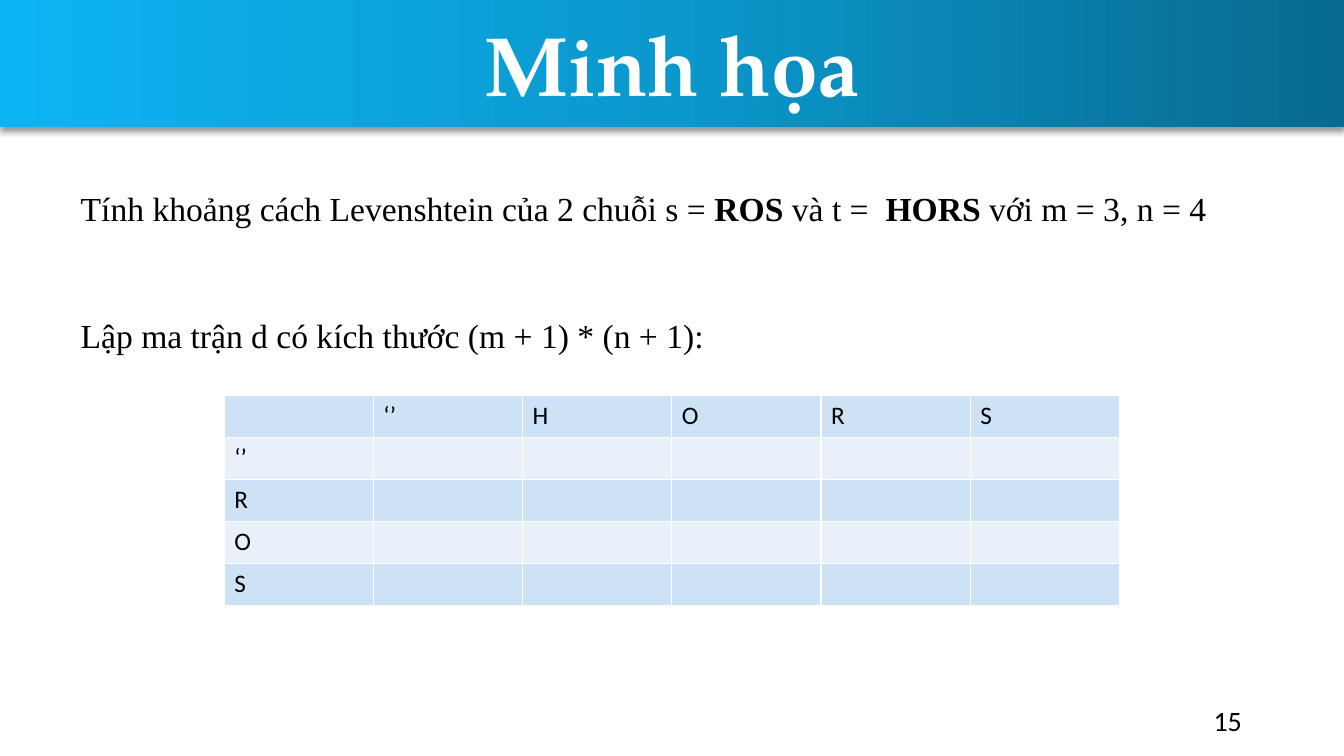
from copy import deepcopy
from dataclasses import dataclass

from lxml import etree
from pptx import Presentation
from pptx.dml.color import RGBColor
from pptx.enum.shapes import MSO_SHAPE
from pptx.enum.text import MSO_ANCHOR, MSO_AUTO_SIZE, PP_ALIGN
from pptx.oxml import parse_xml
from pptx.util import Cm, Pt

RECTANGLE = MSO_SHAPE.RECTANGLE
TOP, MIDDLE = MSO_ANCHOR.TOP, MSO_ANCHOR.MIDDLE
LEFT, CENTER, RIGHT = PP_ALIGN.LEFT, PP_ALIGN.CENTER, PP_ALIGN.RIGHT
NO_AUTOFIT = MSO_AUTO_SIZE.NONE
DRAWING = "http://schemas.openxmlformats.org/drawingml/2006/main"


@dataclass(frozen=True)
class Theme:
    white: str = "FFFFFF"
    black: str = "000000"
    banner: tuple = ((0, "086A90"), (0.5, "0B98CD"), (1, "0DB4F3"))
    bands: tuple = ("CDE3F5", "E8F1FA")
    title_font: str = "TeX Gyre Pagella"
    body_font: str = "Times New Roman"
    table_font: str = "Calibri"
    title_size: int = 60
    body_size: int = 24
    number_size: int = 20
    table_size: int = 18


theme = Theme()


def write(frame, *pieces, font, size, color=theme.black, bold=False, align=LEFT):
    """Fill one paragraph with spans; a (text, True) pair is a bold span."""
    para = frame.paragraphs[0]
    para.alignment = align
    para.space_before = Pt(0)
    for piece in pieces:
        text, strong = piece if isinstance(piece, tuple) else (piece, bold)
        span = para.add_run()
        span.text = text
        span.font.name = font
        span.font.size = Pt(size)
        span.font.bold = strong
        span.font.color.rgb = RGBColor.from_string(color)
    return para


def place(box, left, top, width, height, anchor):
    """Set a text box's bounds in centimetres, and its anchor."""
    box.left, box.top, box.width, box.height = map(Cm, (left, top, width, height))
    frame = box.text_frame
    frame.word_wrap = True
    frame.auto_size = NO_AUTOFIT
    frame.vertical_anchor = anchor
    return frame


deck = Presentation()
deck.slide_width, deck.slide_height = Cm(33.87), Cm(19.05)
page = deck.slides.add_slide(deck.slide_layouts.get_by_name("Two Content"))
title, task, step = page.placeholders

# Banner, behind the title
banner = page.shapes.add_shape(RECTANGLE, 0, 0, deck.slide_width, Cm(3.2))
banner.line.fill.background()
banner.fill.gradient()
banner.fill.gradient_angle = 180
stop_list = banner.element.spPr.find(f".//{{{DRAWING}}}gsLst")
stop_list.append(deepcopy(stop_list[-1]))
for stop, (position, color) in zip(banner.fill.gradient_stops, theme.banner):
    stop.position = position
    stop.color.rgb = RGBColor.from_string(color)
banner.shadow.inherit = False
effects = banner.element.spPr.find(f"{{{DRAWING}}}effectLst")
effects.append(parse_xml(
    f'<a:outerShdw xmlns:a="{DRAWING}" blurRad="{Pt(4)}" dist="{Pt(3)}" dir="5400000" '
    f'algn="t" rotWithShape="0"><a:srgbClr val="{theme.black}"><a:alpha val="40000"/>'
    '</a:srgbClr></a:outerShdw>'))
title.element.addprevious(banner.element)

# Title and body lines
write(place(title, 0, 0.18, 33.87, 2.82, MIDDLE), "Minh họa", font=theme.title_font,
      size=theme.title_size, color=theme.white, bold=True, align=CENTER)

body_lines = (
    (task, 4.62, 29.13, 3.18, (
        "Tính khoảng cách Levenshtein của 2 chuỗi s = ", ("ROS", True),
        " và t =  ", ("HORS ", True), "với m = 3, n = 4")),
    (step, 7.8, 16.8, 1.27, ("Lập ma trận d có kích thước (m + 1) * (n + 1):",)),
)
for box, top, width, height, pieces in body_lines:
    para = write(place(box, 1.78, top, width, height, TOP), *pieces,
                 font=theme.body_font, size=theme.body_size)
    properties = para._p.get_or_add_pPr()
    properties.set("marL", "0")
    properties.set("indent", "0")
    etree.SubElement(properties, f"{{{DRAWING}}}buNone")

# Distance matrix: t across, s down, each after the empty string
column_labels = ["", "‘’", *"HORS"]
row_labels = ["", "‘’", *"ROS"]
matrix = page.shapes.add_table(len(row_labels), len(column_labels),
                               Cm(5.65), Cm(9.96), Cm(22.56), Cm(5.3)).table
matrix.first_row = matrix.horz_banding = False
for row, row_label in enumerate(row_labels):
    for column, column_label in enumerate(column_labels):
        cell = matrix.cell(row, column)
        for side in ("lnL", "lnR", "lnT", "lnB"):
            cell._tc.get_or_add_tcPr().append(parse_xml(
                f'<a:{side} xmlns:a="{DRAWING}" w="{Pt(1)}"><a:solidFill>'
                f'<a:srgbClr val="{theme.white}"/></a:solidFill></a:{side}>'))
        cell.fill.solid()
        cell.fill.fore_color.rgb = RGBColor.from_string(theme.bands[row % 2])
        label = column_label if row == 0 else row_label if column == 0 else ""
        if label:
            write(cell.text_frame, label, font=theme.table_font, size=theme.table_size)

# Page number
number = page.shapes.add_textbox(0, 0, 0, 0)
write(place(number, 23.93, 17.65, 7.62, 1.02, MIDDLE), "15",
      font=theme.table_font, size=theme.number_size, align=RIGHT)

deck.save("out.pptx")
